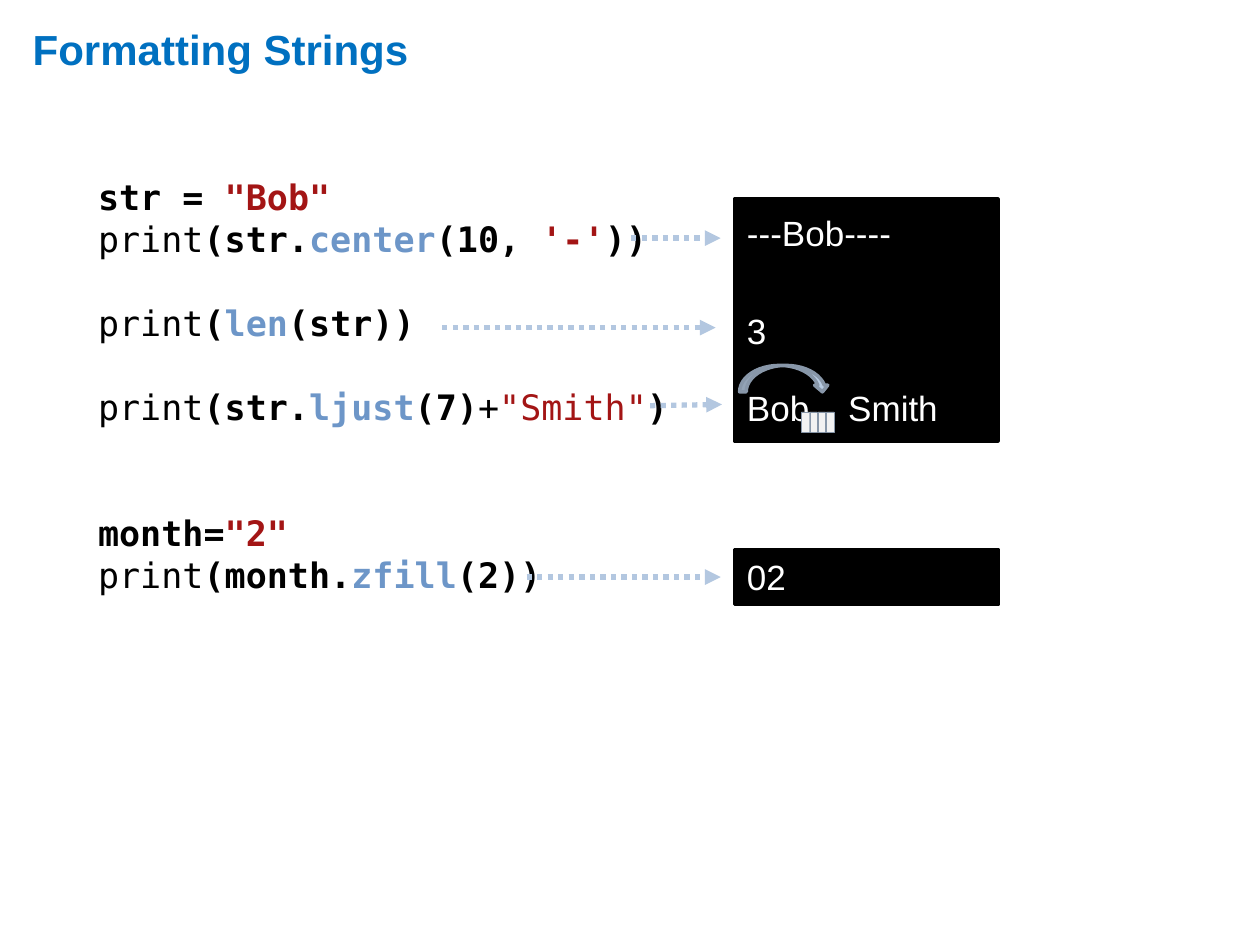
"""Build the Formatting Strings slide: code samples pointing at their console output."""
from lxml.etree import SubElement
from pptx import Presentation
from pptx.dml.color import RGBColor
from pptx.enum.dml import MSO_LINE_DASH_STYLE as Dash
from pptx.enum.shapes import MSO_CONNECTOR as Connector, MSO_SHAPE as Shape
from pptx.enum.text import MSO_ANCHOR as Anchor, PP_ALIGN as Align
from pptx.oxml.ns import qn
from pptx.util import Inches, Pt

COLORS = {
    "title": "0070C0", "plain": "000000", "code": "000000", "method": "6D96C8",
    "string": "A31515", "literal": "A31515", "output": "FFFFFF", "console": "000000",
    "page": "FFFFFF", "pointer": "B3C7E0", "jump": "B8CCE4", "edge": "8897A9", "cell": "F2F2F2",
}
LIGHT_STYLES = {"plain", "literal", "output"}
CODE_FONT, TEXT_FONT = "DejaVu Sans Mono", "Arial"
TITLE = "Formatting Strings"
BLANK_LINE = 24

CODE = [
    (0, [("str = ", "code"), ('"Bob"', "string")]),
    (0, [("print", "plain"), ("(str.", "code"), ("center", "method"), ("(10, ", "code"),
         ("'-'", "string"), ("))", "code")]),
    (BLANK_LINE, [("print", "plain"), ("(", "code"), ("len", "method"), ("(str))", "code")]),
    (BLANK_LINE, [("print", "plain"), ("(str.", "code"), ("ljust", "method"), ("(7)", "code"),
                  ("+", "plain"), ('"Smith"', "literal"), (")", "code")]),
    (2 * BLANK_LINE, [("month=", "code"), ('"2"', "string")]),
    (0, [("print", "plain"), ("(month.", "code"), ("zfill", "method"), ("(2))", "code")]),
]
CONSOLES = [
    (1.58, 1.92, 0.1, [(0, [("---Bob----", "output")]), (32, [("3", "output")]),
                       (20, [("Bob    Smith", "output")])]),
    (4.36, 0.44, 0.05, [(0, [("02", "output")])]),
]
CONSOLE_LEFT, CONSOLE_WIDTH = 5.83, 2.09
POINTERS = [(5.01, 1.89, 5.72, 1.89), (3.51, 2.6, 5.68, 2.6),
            (4.18, 4.58, 5.72, 4.58), (5.16, 3.22, 5.73, 3.21)]
JUMP = (5.87, 2.9, 0.71, 0.21)
PAD_COUNT, PAD_LEFT, PAD_TOP, PAD_WIDTH, PAD_HEIGHT = 4, 6.36, 3.27, 0.06, 0.16
PAD_STEP = 0.2 / (PAD_COUNT - 1)


def color(name):
    return RGBColor.from_string(COLORS[name])


def style(target, values):
    for name, value in values.items():
        setattr(target, name, value)


def add_block(shapes, kind, box, fill, edge=None, width=0):
    block = shapes.add_shape(kind, *map(Inches, box))
    block.shadow.inherit = False
    block.fill.solid()
    block.fill.fore_color.rgb = color(fill)
    if edge:
        block.line.color.rgb = color(edge)
        block.line.width = Pt(width)
    else:
        block.line.fill.background()
    return block


def write(block, lines, font, top=0.05):
    frame = block.text_frame
    style(frame, {"word_wrap": True, "vertical_anchor": Anchor.TOP, "margin_top": Inches(top)})
    for index, (gap, pieces) in enumerate(lines):
        line = frame.add_paragraph() if index else frame.paragraphs[0]
        style(line, {"alignment": Align.LEFT, "space_before": Pt(gap)})
        for text, role in pieces:
            piece = line.add_run()
            piece.text = text
            style(piece.font, {"name": font, "size": Pt(20), "bold": role not in LIGHT_STYLES})
            piece.font.color.rgb = color(role)


def add_pointer(shapes, ends):
    pointer = shapes.add_connector(Connector.STRAIGHT, *map(Inches, ends))
    style(pointer.line, {"width": Pt(3), "dash_style": Dash.ROUND_DOT})
    pointer.line.color.rgb = color("pointer")
    outline = pointer.line._get_or_add_ln()
    SubElement(outline, qn("a:tailEnd"), type="triangle")
    SubElement(pointer._element.spPr, qn("a:effectLst"))


def add_title(title):
    style(title, dict(zip(("left", "top", "width", "height"),
                          map(Inches, (0.16, 0.11, 9.61, 0.55)))))
    title.text_frame.text = TITLE
    title.text_frame.vertical_anchor = Anchor.MIDDLE
    heading = title.text_frame.paragraphs[0]
    heading.alignment = Align.LEFT
    font = heading.runs[0].font
    style(font, {"name": TEXT_FONT, "size": Pt(24), "bold": True})
    font.color.rgb = color("title")


def main():
    deck = Presentation()
    style(deck, {"slide_width": Inches(10), "slide_height": Inches(7.5)})
    slide = deck.slides.add_slide(deck.slide_layouts[5])
    shapes = slide.shapes
    add_title(shapes.title)

    listing = add_block(shapes, Shape.RECTANGLE, (0.68, 1.34, 7.56, 3.65), "page")
    write(listing, CODE, CODE_FONT)
    for top, height, inset, lines in CONSOLES:
        box = (CONSOLE_LEFT, top, CONSOLE_WIDTH, height)
        console = add_block(shapes, Shape.RECTANGLE, box, "console", "console", 2)
        write(console, lines, TEXT_FONT, inset)
    for ends in POINTERS:
        add_pointer(shapes, ends)

    add_block(shapes, Shape.CURVED_DOWN_ARROW, JUMP, "jump", "edge", 2)
    padding = shapes.add_group_shape()
    for index in range(PAD_COUNT):
        box = (PAD_LEFT + index * PAD_STEP, PAD_TOP, PAD_WIDTH, PAD_HEIGHT)
        add_block(padding.shapes, Shape.RECTANGLE, box, "cell", "edge", 0.25)
    deck.save("out.pptx")


if __name__ == "__main__":
    main()
